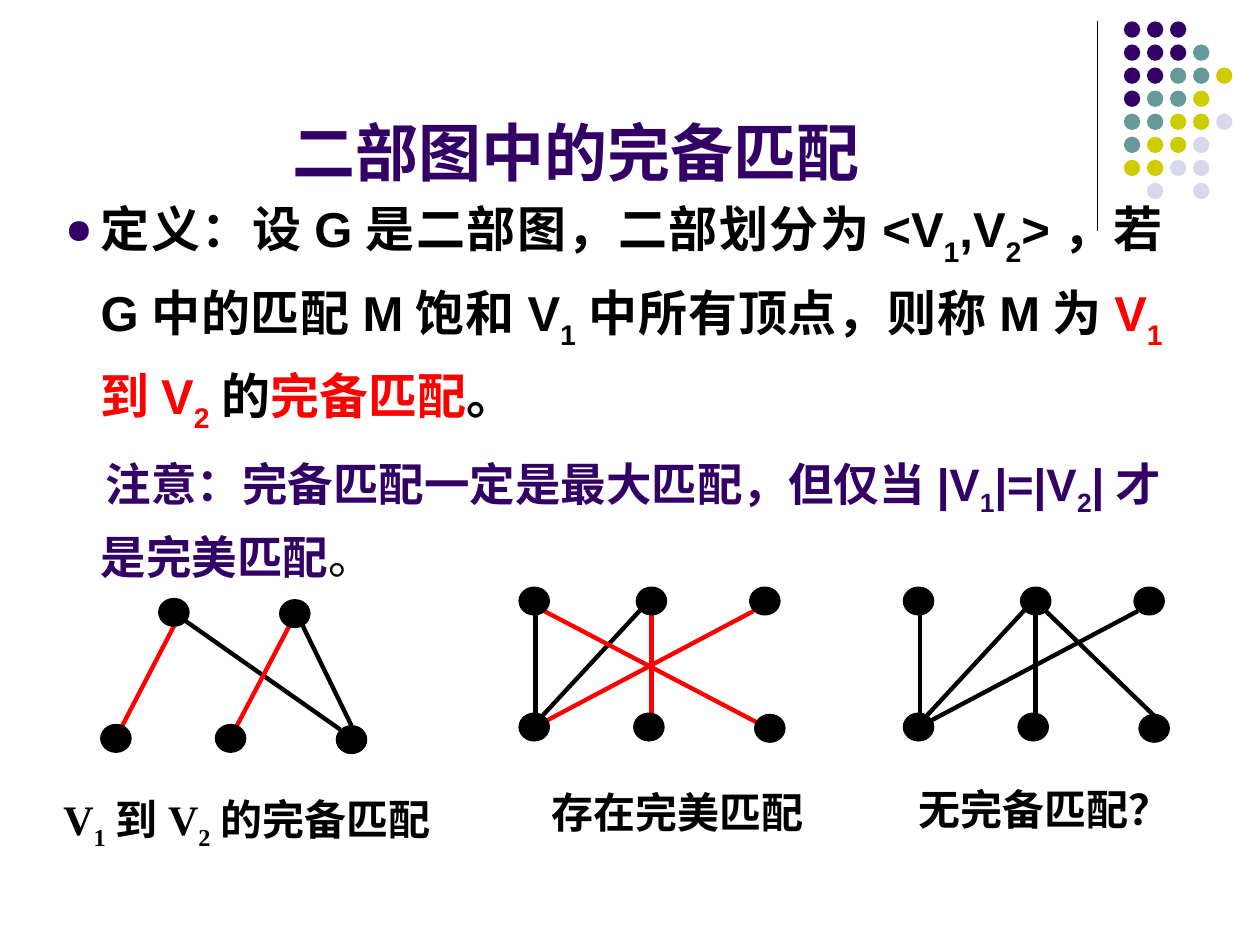
"""Build a slide on complete matchings in bipartite graphs."""
from lxml import etree
from pptx import Presentation
from pptx.dml.color import RGBColor
from pptx.enum.shapes import MSO_CONNECTOR, MSO_SHAPE
from pptx.enum.text import MSO_ANCHOR, PP_ALIGN
from pptx.oxml.ns import qn
from pptx.util import Inches, Pt

STRAIGHT = MSO_CONNECTOR.STRAIGHT
OVAL, VERTEX = MSO_SHAPE.OVAL, MSO_SHAPE.FLOWCHART_CONNECTOR
CENTER, JUSTIFY, LEFT = PP_ALIGN.CENTER, PP_ALIGN.JUSTIFY, PP_ALIGN.LEFT
BOTTOM = MSO_ANCHOR.BOTTOM
COLORS = {
    "black": "000000", "red": "FF0000", "purple": "330066",
    "teal": "669999", "olive": "CCCC00", "lilac": "D8D8EC",
}
DOT_COLORS = {"P": "purple", "T": "teal", "O": "olive", "L": "lilac"}
DOT_ROWS = ["PPP", "PPPT", "PPTTO", "PTTO", "TTOOL", "TOOL", "OOLL", " L L"]


def rgb(name):
    return RGBColor.from_string(COLORS[name])


def write_text(paragraph, text, size=24, font="Times New Roman", color="black",
               bold=True, subscript=-25):
    """Add text as runs; the character after an underscore is a subscript."""
    first, *rest = text.split("_")
    pieces = [(first, 0)]
    for part in rest:
        pieces += [(part[0], subscript), (part[1:], 0)]
    for content, baseline in pieces:
        if not content:
            continue
        run = paragraph.add_run()
        run.text = content
        run.font.size = Pt(size)
        run.font.name = font
        run.font.bold = bold
        run.font.color.rgb = rgb(color)
        if baseline:
            run.font._element.set("baseline", str(baseline * 1000))


class SlideBuilder:
    """Hold the style and the current slide."""

    edge_width = 2.5
    outline_width = 0.75

    def __init__(self, presentation):
        self.slide = presentation.slides.add_slide(presentation.slide_layouts[5])

    def title(self, text, left, top, width, height):
        shape = self.slide.shapes.title
        shape.left, shape.top = Inches(left), Inches(top)
        shape.width, shape.height = Inches(width), Inches(height)
        shape.text_frame.vertical_anchor = BOTTOM
        paragraph = shape.text_frame.paragraphs[0]
        paragraph.alignment = CENTER
        write_text(paragraph, text, size=36, font="Arial", color="purple")

    def text_box(self, left, top, width, height):
        box = self.slide.shapes.add_textbox(
            Inches(left), Inches(top), Inches(width), Inches(height))
        box.text_frame.word_wrap = True
        return box.text_frame

    def label(self, text, left, top, width):
        paragraph = self.text_box(left, top, width, 0.58).paragraphs[0]
        paragraph.alignment = CENTER
        write_text(paragraph, text)

    def body_paragraph(self, paragraph, segments, alignment, indent, size, subscript):
        paragraph.alignment = alignment
        paragraph.line_spacing = 1.2
        paragraph.space_before = Pt(size * 0.2)
        properties = paragraph._p.get_or_add_pPr()
        properties.set("marL", str(Inches(0.28)))
        properties.set("indent", str(Inches(indent)))
        for text, style in segments:
            write_text(paragraph, text, **{
                "size": size, "font": "Arial", "subscript": subscript, **style})

    def bullet(self, paragraph):
        properties = paragraph._p.get_or_add_pPr()
        color = etree.SubElement(properties, qn("a:buClr"))
        etree.SubElement(color, qn("a:srgbClr"), val=COLORS["purple"])
        etree.SubElement(properties, qn("a:buSzPct"), val="70000")
        etree.SubElement(properties, qn("a:buChar"), char="●")

    def ellipse(self, kind, left, top, width, height, color):
        shape = self.slide.shapes.add_shape(
            kind, Inches(left), Inches(top), Inches(width), Inches(height))
        shape.shadow.inherit = False
        shape.fill.solid()
        shape.fill.fore_color.rgb = rgb(color)
        shape.line.fill.background()
        return shape

    def vertex(self, x, y):
        shape = self.ellipse(VERTEX, x - 0.11, y - 0.12, 0.22, 0.24, "black")
        shape.rotation = 90
        shape.line.color.rgb = rgb("black")
        shape.line.width = Pt(self.outline_width)

    def line(self, x1, y1, x2, y2, color="black", width=edge_width):
        connector = self.slide.shapes.add_connector(
            STRAIGHT, Inches(x1), Inches(y1), Inches(x2), Inches(y2))
        connector.line.color.rgb = rgb(color)
        connector.line.width = Pt(width)
        etree.SubElement(connector._element.spPr, qn("a:effectLst"))

    def graph(self, left, vertices, edges):
        for x1, y1, x2, y2, color in edges:
            self.line(left + x1, y1, left + x2, y2, color)
        for x, y in vertices:
            self.vertex(left + x, y)

    def dot_pattern(self, left, top, pitch):
        for row, codes in enumerate(DOT_ROWS):
            for column, code in enumerate(codes):
                if code in DOT_COLORS:
                    self.ellipse(OVAL, left + column * pitch, top + row * pitch,
                                 0.13, 0.13, DOT_COLORS[code])


def three_by_three(cross_color, last_edge):
    """Return the vertices and edges of a graph with three vertices a side."""
    vertices = [(0.11, 4.77), (1.04, 4.77), (1.94, 4.77),
                (0.11, 5.77), (1.02, 5.77), (1.98, 5.78)]
    edges = [(0.12, 4.83, 0.12, 5.7, "black"), (0.12, 5.74, 1, 4.79, "black"),
             (0.15, 5.75, 1.85, 4.85, cross_color),
             (1.04, 4.88, 1.04, 5.68, cross_color), (*last_edge, cross_color)]
    return vertices, edges


def main():
    presentation = Presentation()
    presentation.slide_width, presentation.slide_height = Inches(10), Inches(7.5)
    builder = SlideBuilder(presentation)

    builder.line(8.71, 0.17, 8.71, 1.83, width=0.75)
    builder.dot_pattern(8.92, 0.17, 0.183)
    builder.title("二部图中的完备匹配 ", 0.5, 0.13, 8.25, 1.42)

    body = builder.text_box(0.42, 1.42, 9, 2.83)
    definition, note = body.paragraphs[0], body.add_paragraph()
    red, purple = {"color": "red"}, {"color": "purple"}
    builder.body_paragraph(definition, [
        ("定义：设G是二部图，二部划分为<V_1,V_2>，若G中的匹配M饱和V_1中所有顶点，则称M为", {}),
        ("V_1到V_2", red), ("的", {}), ("完备匹配", red), ("。", {}),
    ], JUSTIFY, -0.28, 28, -30)
    builder.bullet(definition)
    builder.body_paragraph(note, [
        ("注意：完备匹配一定是最大匹配，但仅当|V_1|=|V_2|才是完美匹配", purple),
        ("。", {"bold": False}),
    ], LEFT, 0.04, 26, -25)

    builder.graph(0.81, [(0.57, 4.86), (1.53, 4.87), (0.11, 5.86),
                         (1.02, 5.86), (1.98, 5.87)],
                  [(0.65, 4.92, 1.89, 5.79, "black"), (1.57, 4.92, 1.98, 5.76, "black"),
                   (1.49, 4.96, 1.07, 5.76, "red"), (0.57, 4.97, 0.15, 5.78, "red")])
    builder.graph(4.13, *three_by_three("red", (0.19, 4.85, 1.87, 5.73)))
    builder.graph(7.18, *three_by_three("black", (1.12, 4.85, 1.98, 5.68)))

    builder.label("V_1到V_2的完备匹配", 0.25, 6.25, 3.42)
    builder.label("存在完美匹配", 3.92, 6.19, 2.92)
    builder.label("无完备匹配？", 6.83, 6.17, 2.92)
    presentation.save("out.pptx")


if __name__ == "__main__":
    main()
